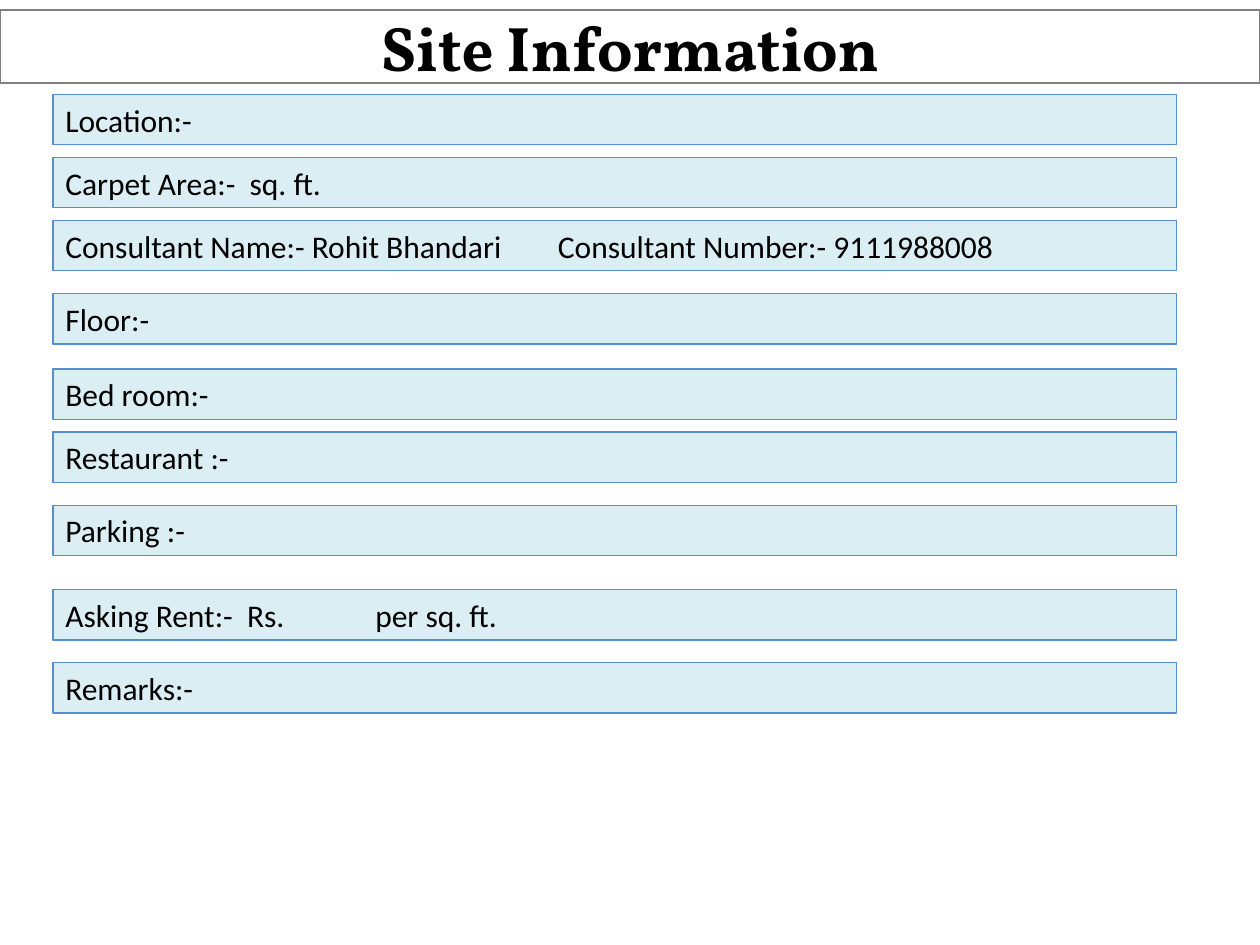
from dataclasses import dataclass

from lxml import etree
from pptx import Presentation
from pptx import util as u
from pptx.dml.color import RGBColor
from pptx.enum import text
from pptx.oxml.ns import qn


@dataclass(frozen=True)
class Theme:
    """Colours, fonts and type sizes."""
    ink: str = "000000"
    title_fill: str = "FFFFFF"
    title_line: str = "808080"
    field_fill: str = "DBEEF4"
    field_line: str = "558ED5"
    title_font: str = "Vollkorn"
    body_font: str = "Calibri"
    title_size: int = 36
    body_size: int = 18
    line_width: float = 0.75


class Form:
    """Draws a titled form on one slide."""

    def __init__(self, prs, theme):
        """Add a title-only slide."""
        self.theme = theme
        self.slide = prs.slides.add_slide(prs.slide_layouts[5])

    def box(self, sp, fill, line):
        """Set the fill and outline of a shape."""
        sp.fill.solid()
        sp.fill.fore_color.rgb = RGBColor.from_string(fill)
        sp.line.color.rgb = RGBColor.from_string(line)
        sp.line.width = u.Pt(self.theme.line_width)

    def font(self, p, name, size, bold=False):
        """Set the font of a paragraph."""
        p.font.name, p.font.size, p.font.bold = name, u.Pt(size), bold
        p.font.color.rgb = RGBColor.from_string(self.theme.ink)

    def title(self, words, left, top, width, height):
        """Place and format the title."""
        t, sp = self.theme, self.slide.shapes.title
        sp.left, sp.top = u.Inches(left), u.Inches(top)
        sp.width, sp.height = u.Inches(width), u.Inches(height)
        self.box(sp, t.title_fill, t.title_line)
        tf = sp.text_frame
        tf.text = words
        tf.auto_size = text.MSO_AUTO_SIZE.NONE
        tf.vertical_anchor = text.MSO_ANCHOR.MIDDLE
        p = tf.paragraphs[0]
        p.alignment = text.PP_ALIGN.CENTER
        self.font(p, t.title_font, t.title_size, bold=True)

    def field(self, words, top, tab=None, left=0.42, width=8.92, height=0.4):
        """Add a form field, with an optional tab stop in inches."""
        t = self.theme
        sp = self.slide.shapes.add_textbox(
            *map(u.Inches, (left, top, width, height)))
        self.box(sp, t.field_fill, t.field_line)
        tf = sp.text_frame
        tf.word_wrap = True
        tf.auto_size = text.MSO_AUTO_SIZE.SHAPE_TO_FIT_TEXT
        tf.text = words
        p = tf.paragraphs[0]
        self.font(p, t.body_font, t.body_size)
        if tab:
            tabs = etree.Element(qn("a:tabLst"))
            etree.SubElement(tabs, qn("a:tab"), pos=str(u.Inches(tab)), algn="l")
            p._p.get_or_add_pPr().insert(0, tabs)


FIELDS = [
    ("Location:-", 0.75, None),
    ("Carpet Area:-  sq. ft.", 1.25, None),
    ("Consultant Name:- Rohit Bhandari\tConsultant Number:- 9111988008", 1.75, 3.91),
    ("Floor:-", 2.33, None),
    ("Bed room:-", 2.93, None),
    ("Restaurant :-", 3.43, None),
    ("Parking :-", 4.01, None),
    ("Asking Rent:-  Rs.\tper sq. ft.", 4.68, 2.46),
    ("Remarks:-", 5.26, None),
]


def main():
    """Build and save the slide."""
    prs = Presentation()
    prs.slide_width, prs.slide_height = u.Inches(10), u.Inches(7.5)
    form = Form(prs, Theme())
    form.title("Site Information", 0, 0.08, 10, 0.58)
    for words, top, tab in FIELDS:
        form.field(words, top, tab)
    prs.save("out.pptx")


main()
